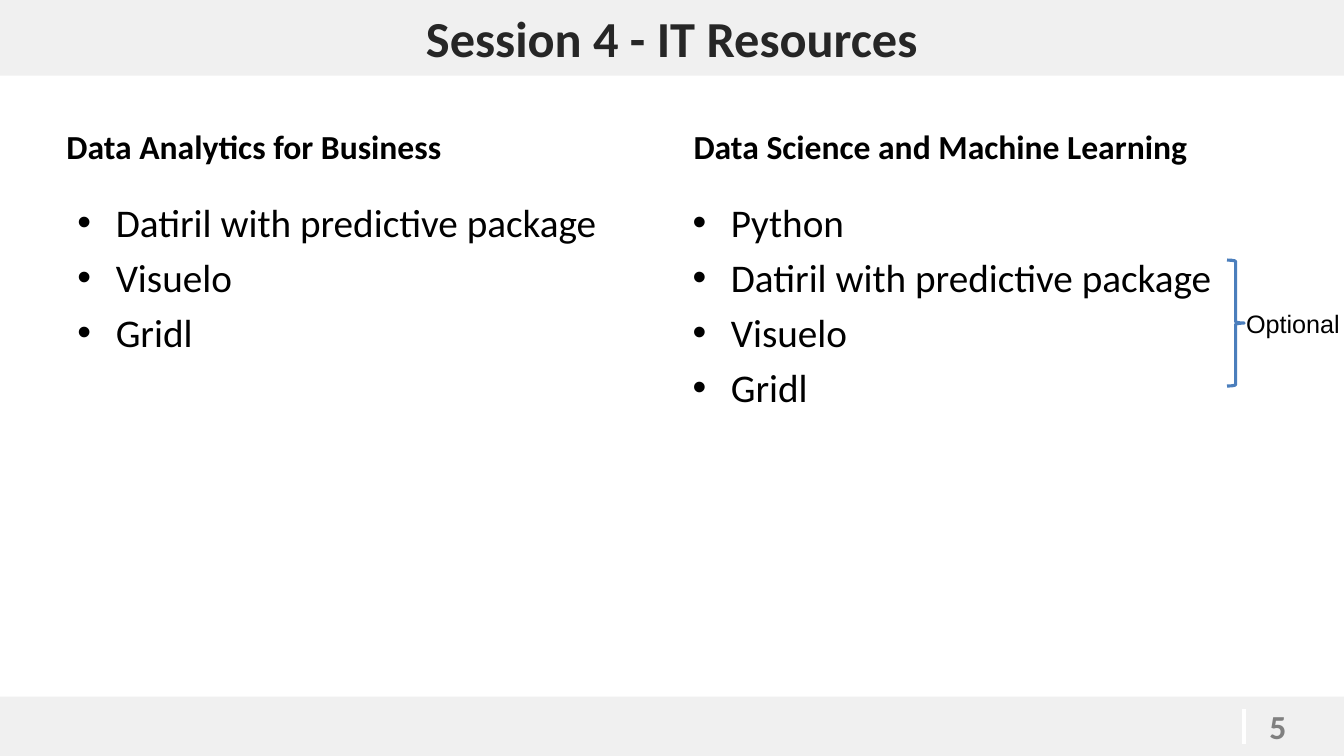
from lxml import etree
from pptx import Presentation
from pptx.dml.color import RGBColor
from pptx.enum.shapes import MSO_CONNECTOR, MSO_SHAPE
from pptx.enum.text import MSO_ANCHOR, PP_ALIGN
from pptx.oxml.ns import qn
from pptx.util import Inches, Pt

WHITE = RGBColor(0xFF, 0xFF, 0xFF)
BLACK = RGBColor(0, 0, 0)
BAND = RGBColor(0xF0, 0xF0, 0xF0)
TITLE = RGBColor(0x26, 0x26, 0x26)
GRAY = RGBColor(0x80, 0x80, 0x80)
BLUE = RGBColor(0x4B, 0x7E, 0xBC)

SHARED_TOOLS = ["Datiril with predictive package", "Visuelo", "Gridl"]
# heading, heading left, list left, tools
TRACKS = [
    ("Data Analytics for Business", 0.56, 0.67, SHARED_TOOLS),
    ("Data Science and Machine Learning", 6.78, 6.77, ["Python"] + SHARED_TOOLS),
]


def add_panel(s, left, top, width, height, color, opacity=100):
    sp = s.shapes.add_shape(MSO_SHAPE.RECTANGLE, Inches(left), Inches(top),
                            Inches(width), Inches(height))
    sp.shadow.inherit = False
    sp.fill.solid()
    sp.fill.fore_color.rgb = color
    sp.line.fill.background()
    if opacity < 100:
        clr = sp._element.spPr.find(qn("a:solidFill"))[0]
        etree.SubElement(clr, qn("a:alpha")).set("val", str(opacity * 1000))
    return sp


def add_run(p, text, size, color, bold=False, font="Calibri"):
    r = p.add_run()
    r.text = text
    r.font.name = font
    r.font.size = Pt(size)
    r.font.bold = bold
    r.font.color.rgb = color


def add_text_box(s, left, top, width, height, anchor=MSO_ANCHOR.TOP):
    tf = s.shapes.add_textbox(Inches(left), Inches(top),
                              Inches(width), Inches(height)).text_frame
    tf.word_wrap = True
    tf.vertical_anchor = anchor
    return tf


def add_bullets(s, left, items):
    tf = add_text_box(s, left, 1.92, 5.89, 4.78)
    for i, item in enumerate(items):
        p = tf.add_paragraph() if i else tf.paragraphs[0]
        pPr = p._p.get_or_add_pPr()
        pPr.set("marL", str(Inches(0.38)))
        pPr.set("indent", str(-Inches(0.38)))
        etree.SubElement(pPr, qn("a:buFont")).set("typeface", "Arial")
        etree.SubElement(pPr, qn("a:buChar")).set("char", "•")
        if i:
            p.space_before = Pt(5.6)
        add_run(p, item, 28, BLACK)


def add_divider(s, x, top, bottom):
    line = s.shapes.add_connector(MSO_CONNECTOR.STRAIGHT, Inches(x), Inches(top),
                                  Inches(x), Inches(bottom))
    line.line.color.rgb = WHITE
    line.line.width = Pt(3)
    etree.SubElement(line._element.spPr, qn("a:effectLst"))


def add_brace(s, left, top, width, height):
    sp = s.shapes.add_shape(MSO_SHAPE.RIGHT_BRACE, Inches(left), Inches(top),
                            Inches(width), Inches(height))
    sp.shadow.inherit = False
    sp.fill.background()
    sp.line.color.rgb = BLUE
    sp.line.width = Pt(2.25)


def main():
    prs = Presentation()
    prs.slide_width, prs.slide_height = Inches(13.33), Inches(7.5)
    s = prs.slides.add_slide(prs.slide_layouts[6])

    # Background panel and footer
    add_panel(s, 0.43, 1.02, 12.47, 5.64, WHITE, opacity=84)
    add_panel(s, 0, 6.91, 13.33, 0.59, BAND)
    tf = add_text_box(s, 12.49, 6.95, 0.92, 0.5)
    add_run(tf.paragraphs[0], "5", 24, GRAY, bold=True)
    add_divider(s, 12.34, 7.03, 7.38)

    # Two tracks with their tools
    for heading, heading_left, list_left, tools in TRACKS:
        tf = add_text_box(s, heading_left, 1, 5.89, 0.7, MSO_ANCHOR.BOTTOM)
        add_run(tf.paragraphs[0], heading, 24, BLACK, bold=True)
        add_bullets(s, list_left, tools)

    # Title band
    tf = add_panel(s, 0, 0, 13.33, 0.75, BAND).text_frame
    tf.vertical_anchor = MSO_ANCHOR.MIDDLE
    p = tf.paragraphs[0]
    p.alignment = PP_ALIGN.CENTER
    add_run(p, "Session 4 - IT Resources", 36, TITLE, bold=True)

    # Optional tools
    add_brace(s, 12.17, 2.58, 0.17, 1.25)
    tf = add_text_box(s, 12.26, 3.01, 1.25, 0.4)
    add_run(tf.paragraphs[0], "Optional", 18, BLACK, font="Arial")

    prs.save("out.pptx")


if __name__ == "__main__":
    main()
